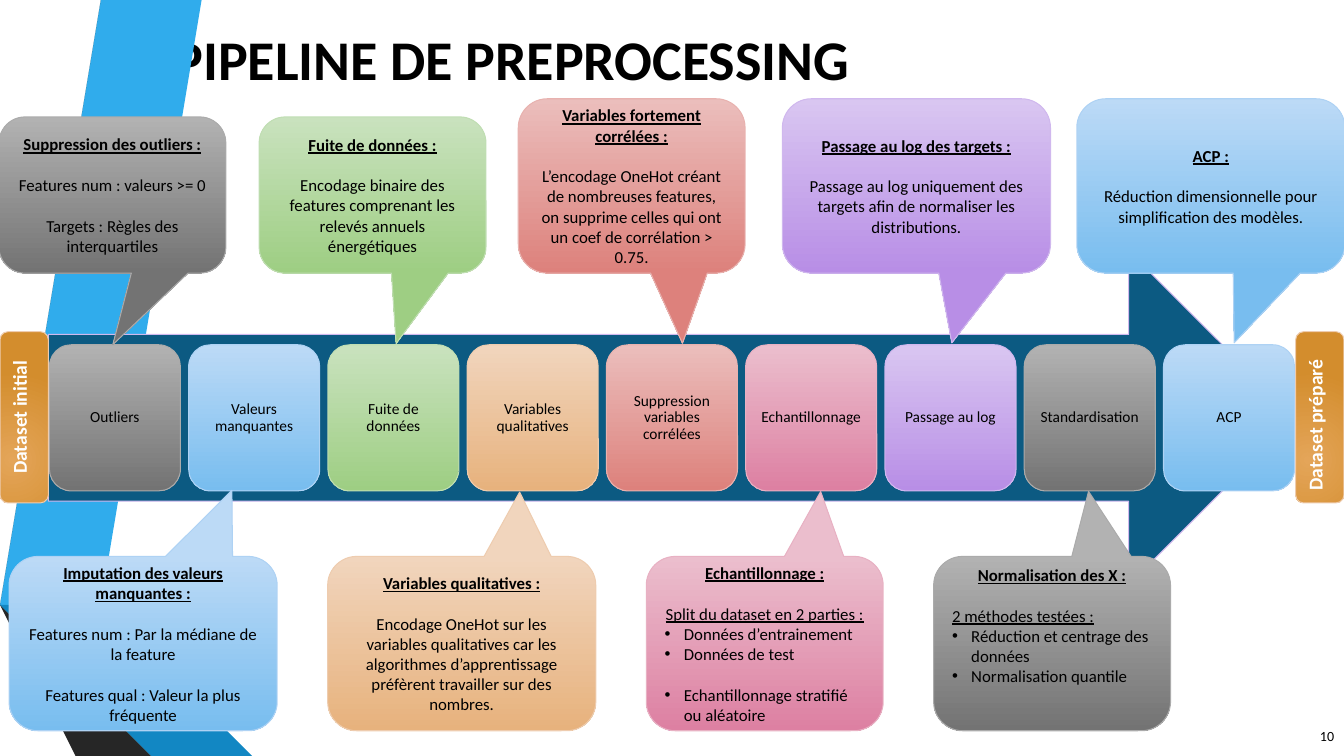
import pptx
import pptx.util
import pptx.dml.color
import pptx.enum.shapes
import pptx.enum.text
import pptx.oxml
import pptx.oxml.ns
import lxml.etree

Inches, Pt = pptx.util.Inches, pptx.util.Pt
RGB = pptx.dml.color.RGBColor.from_string
MSO = pptx.enum.shapes.MSO_SHAPE
ALIGN = pptx.enum.text.PP_ALIGN
ANCHOR = pptx.enum.text.MSO_ANCHOR
qn = pptx.oxml.ns.qn

COLORS = {"black": "000000", "white": "FFFFFF", "arrow": "0C5A82", "arrow_line": "D0B8EE",
          "band_blue": "30ACEC", "band_grey": "595959", "fold_blue": "1287C3",
          "fold_grey": "404040", "edge_blue": "0C5A82", "edge_grey": "262626"}
# Gradient start, gradient end, outline
THEMES = {"grey": ("B2B2B2", "737373", "ABABAB"), "blue": ("BCDAF6", "78BDEF", "AED2F4"),
          "green": ("C9E2BE", "9ECE83", "C0DEB3"), "orange": ("F1D5BD", "E7B27D", "EECCAF"),
          "red": ("EBBEBC", "DD817C", "E8B2AF"), "pink": ("EBBECD", "DD80A2", "E8B1C3"),
          "purple": ("D9C6F1", "B88EE6", "D0B8EE"), "ochre": ("E4A559", "D38D2D", "EECCAF")}


def add_block(kind, box, theme):
    sp = s.shapes.add_shape(kind, *map(Inches, box))
    sp.shadow.inherit = False
    start, end, line = THEMES[theme]
    sp.fill.gradient()
    sp.fill.gradient_angle = 270
    for stop, color in zip(sp.fill.gradient_stops, (start, end)):
        stop.color.rgb = RGB(color)
    sp.line.color.rgb = RGB(line)
    sp.line.width = Pt(0.75)
    sp.text_frame.word_wrap = True
    sp.text_frame.vertical_anchor = ANCHOR.MIDDLE
    return sp


def write(p, text, size, align, color="black", **fmt):
    p.alignment = align
    r = p.add_run()
    r.text = text
    for name, value in {"name": "Calibri", "size": Pt(size), **fmt}.items():
        setattr(r.font, name, value)
    r.font.color.rgb = RGB(COLORS[color])


prs = pptx.Presentation()
prs.slide_width, prs.slide_height = Inches(13.33), Inches(7.5)
s = prs.slides.add_slide(prs.slide_layouts[5])

# Folded ribbons on the left
ribbons = [
    ("band_blue", [(0.5, 5.78), (0.77, 5.83), (1.73, 0), (1.45, 0)]),
    ("band_grey", [(1.39, 0), (1.11, 0), (0.16, 5.73), (0.44, 5.77)]),
    ("edge_grey", [(0.16, 5.73), (1.45, 7.5), (1.51, 7.5)]),
    ("edge_blue", [(0.5, 5.79), (2.08, 7.5), (2.14, 7.5)]),
    ("fold_blue", [(0.5, 5.79), (2.14, 7.5), (2.83, 7.5), (0.77, 5.83)]),
    ("fold_grey", [(2.02, 7.5), (0.48, 5.83), (0.43, 5.77), (0.16, 5.73), (1.51, 7.5)]),
]
for color, points in ribbons:
    fb = s.shapes.build_freeform(*points[0], scale=Inches(1))
    fb.add_line_segments(points[1:], close=True)
    sp = fb.convert_to_shape()
    sp.shadow.inherit = False
    sp.fill.solid()
    sp.fill.fore_color.rgb = RGB(COLORS[color])
    sp.line.fill.background()

# Title and page number
title = s.shapes.title
for name, value in zip(("left", "top", "width", "height"), (1.62, 0, 10.96, 1.16)):
    setattr(title, name, Inches(value))
title.text_frame.vertical_anchor = ANCHOR.MIDDLE
write(title.text_frame.paragraphs[0], "PIPELINE DE PREPROCESSING", 40, ALIGN.LEFT, bold=True)
number = s.shapes.add_textbox(Inches(12.73), Inches(7.1), Inches(0.6), Inches(0.4))
number.text_frame.word_wrap = True
number.text_frame.vertical_anchor = ANCHOR.MIDDLE
write(number.text_frame.paragraphs[0], "10", 10, ALIGN.RIGHT)

# Process arrow
arrow = s.shapes.add_shape(MSO.RIGHT_ARROW, Inches(0.48), Inches(2.49), Inches(12.37), Inches(3.31))
arrow.shadow.inherit = False
arrow.fill.solid()
arrow.fill.fore_color.rgb = RGB(COLORS["arrow"])
arrow.line.color.rgb = RGB(COLORS["arrow_line"])
arrow.line.width = Pt(0.75)

# Pipeline steps
steps = [("Outliers", "grey"), ("Valeurs manquantes", "blue"), ("Fuite de données", "green"),
         ("Variables qualitatives", "orange"), ("Suppression variables corrélées", "red"),
         ("Echantillonnage", "pink"), ("Passage au log", "purple"),
         ("Standardisation", "grey"), ("ACP", "blue")]
pitch = (11.54 - 0.49) / (len(steps) - 1)
for i, (label, theme) in enumerate(steps):
    tf = add_block(MSO.ROUNDED_RECTANGLE, (0.49 + i * pitch, 3.42, 1.3, 1.45), theme).text_frame
    for side in ("left", "top", "right", "bottom"):
        setattr(tf, "margin_" + side, Inches(0.05))
    tf.paragraphs[0].line_spacing = 0.9
    write(tf.paragraphs[0], label, 11, ALIGN.CENTER)

# Callouts: box, pointer, theme, heading, then (style, gap above, text)
callouts = [
    ((-0.01, 1.16, 2.25, 1.55), (0.002, 0.957), "grey", "Suppression des outliers :",
     [("center", True, "Features num : valeurs >= 0"),
      ("center", True, "Targets : Règles des interquartiles")]),
    ((0.09, 5.52, 2.66, 1.73), (0.331, -0.879), "blue", "Imputation des valeurs manquantes :",
     [("center", True, "Features num : Par la médiane de la feature"),
      ("center", True, "Features qual : Valeur la plus fréquente")]),
    ((2.57, 1.16, 2.25, 1.55), (0.104, 0.951), "green", "Fuite de données :",
     [("center", True, "Encodage binaire des features comprenant les relevés annuels énergétiques")]),
    ((3.25, 5.52, 2.66, 1.73), (0.216, -0.869), "orange", "Variables qualitatives :",
     [("center", True, "Encodage OneHot sur les variables qualitatives car les algorithmes "
       "d’apprentissage préfèrent travailler sur des nombres.")]),
    ((6.41, 5.52, 2.35, 1.73), (0.236, -0.872), "pink", "Echantillonnage :",
     [("center underline", True, "Split du dataset en 2 parties :"),
      ("bullet", False, "Données d’entrainement"), ("bullet", False, "Données de test"),
      ("bullet", True, "Echantillonnage stratifié ou aléatoire")]),
    ((7.76, 0.98, 2.66, 1.73), (0.132, 0.9), "purple", "Passage au log des targets :",
     [("center", True, "Passage au log uniquement des targets afin de normaliser les distributions.")]),
    ((9.26, 5.52, 2.35, 1.73), (0.154, -0.873), "grey", "Normalisation des X :",
     [("left underline", True, "2 méthodes testées :"),
      ("bullet", False, "Réduction et centrage des données"),
      ("bullet", False, "Normalisation quantile")]),
    ((10.68, 0.98, 2.66, 1.73), (0.087, 0.9), "blue", "ACP :",
     [("center", True, "Réduction dimensionnelle pour simplification des modèles.")]),
    ((5.14, 0.98, 2.25, 1.73), (0.224, 0.903), "red", "Variables fortement corrélées :",
     [("center", True, "L’encodage OneHot créant de nombreuses features, on supprime celles "
       "qui ont un coef de corrélation > 0.75.")]),
]
for box, pointer, theme, heading, lines in callouts:
    sp = add_block(MSO.ROUNDED_RECTANGULAR_CALLOUT, box, theme)
    sp.adjustments[0], sp.adjustments[1] = pointer
    tf = sp.text_frame
    if heading.startswith("Normalisation"):
        tf.vertical_anchor = ANCHOR.TOP
        tf.margin_top = 0
    write(tf.paragraphs[0], heading, 12, ALIGN.CENTER, bold=True, underline=True)
    for style, gap, text in lines:
        p = tf.add_paragraph()
        p.space_before = Pt(14.65 if gap else 0)
        write(p, text, 12, ALIGN.CENTER if "center" in style else ALIGN.LEFT,
              underline="underline" in style)
        if style == "bullet":
            pPr = p._p.get_or_add_pPr()
            pPr.set("marL", str(Inches(0.19)))
            pPr.set("indent", str(-Inches(0.19)))
            lxml.etree.SubElement(pPr, qn("a:buFont")).set("typeface", "Arial")
            lxml.etree.SubElement(pPr, qn("a:buChar")).set("char", "•")

# Input and output datasets
for left, label, align in ((0, "Dataset initial", ALIGN.CENTER), (12.85, "Dataset préparé", ALIGN.LEFT)):
    sp = add_block(MSO.ROUNDED_RECTANGLE, (left, 3.29, 0.48, 1.7), "ochre")
    lin = sp._element.spPr.find(".//" + qn("a:lin"))
    radial = lxml.etree.Element(qn("a:path"))
    radial.set("path", "circle")
    rect = lxml.etree.SubElement(radial, qn("a:fillToRect"))
    for side, value in zip("ltrb", (50000, 100000, 100000, 50000)):
        rect.set(side, str(value))
    lin.getparent().replace(lin, radial)
    tf = sp.text_frame
    tf.vertical_anchor = ANCHOR.TOP
    tf._txBody.bodyPr.set("vert", "vert270")
    write(tf.paragraphs[0], label, 14, align, "white", bold=True)

prs.save("out.pptx")
